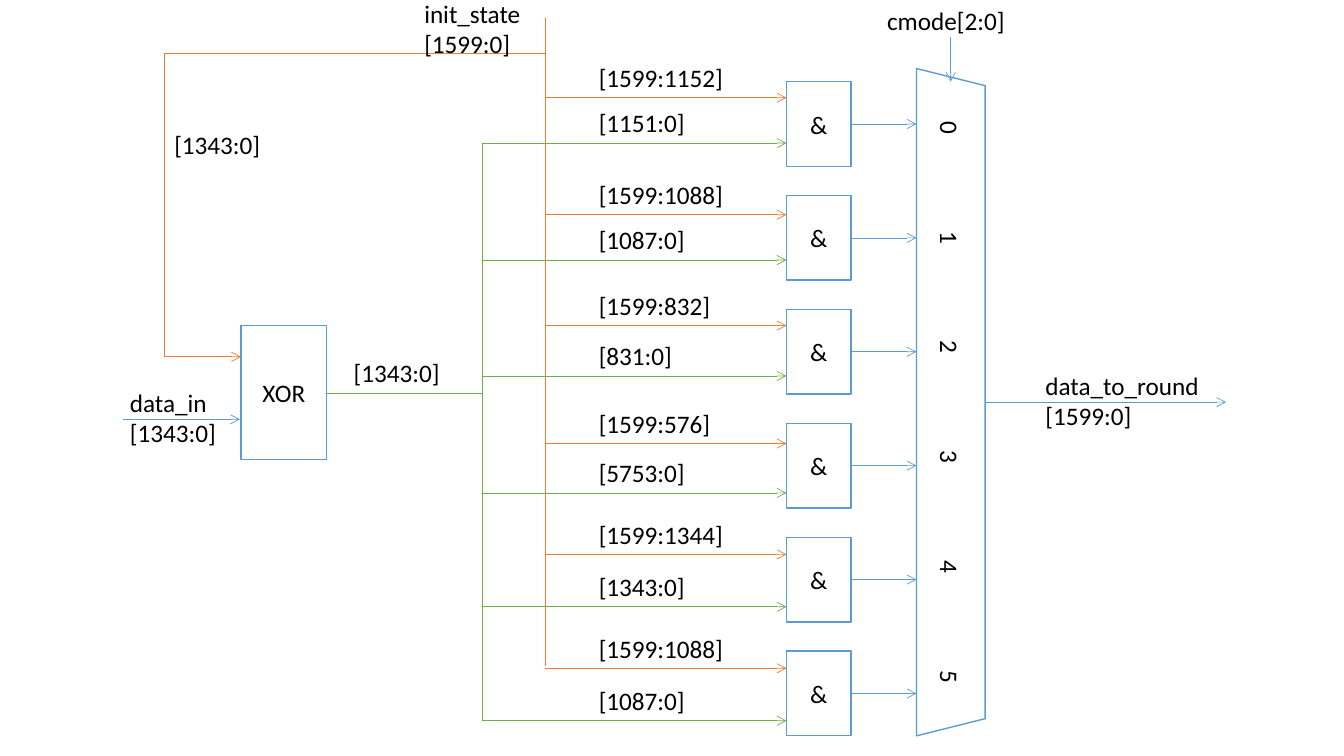
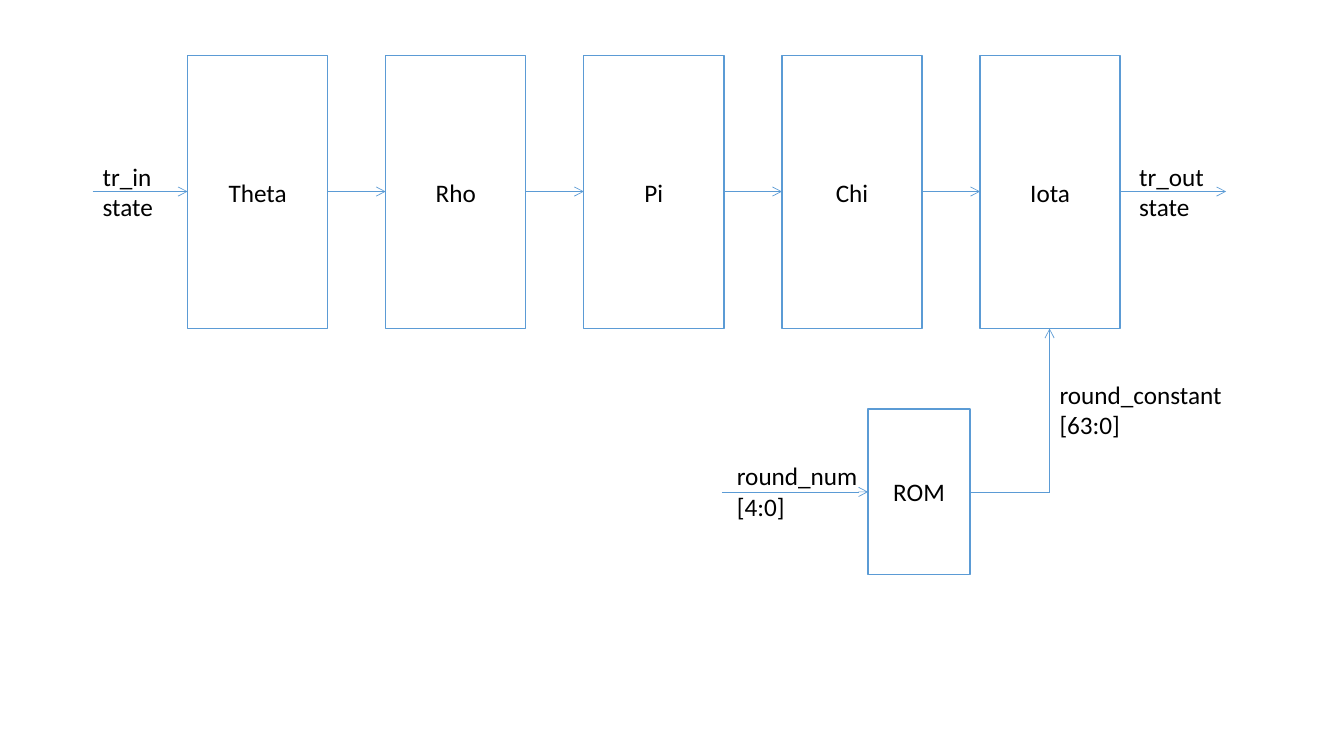
from lxml import etree
from pptx import Presentation
from pptx.dml.color import RGBColor
from pptx.enum.shapes import MSO_CONNECTOR, MSO_SHAPE
from pptx.enum.text import MSO_ANCHOR, MSO_AUTO_SIZE, PP_ALIGN
from pptx.oxml.ns import qn
from pptx.util import Inches, Pt

BLUE = RGBColor(0x5B, 0x9B, 0xD5)
ORANGE = RGBColor(0xED, 0x7D, 0x31)
GREEN = RGBColor(0x70, 0xAD, 0x47)
BLACK = RGBColor(0, 0, 0)
WHITE = RGBColor(255, 255, 255)
RECT, TRAP = MSO_SHAPE.RECTANGLE, MSO_SHAPE.TRAPEZOID
STRAIGHT = MSO_CONNECTOR.STRAIGHT
LEFT, CENTER = PP_ALIGN.LEFT, PP_ALIGN.CENTER
MIDDLE = MSO_ANCHOR.MIDDLE
GROW = MSO_AUTO_SIZE.SHAPE_TO_FIT_TEXT

deck = Presentation()
deck.slide_width, deck.slide_height = Inches(13.33), Inches(7.5)
blank = deck.slide_layouts[6]


def write(text, at, kind=None, align=LEFT, size=18, font="Calibri", color=BLACK):
    """Place a label, or an outlined block when a kind is given."""
    place = [Inches(n) for n in at]
    if kind is None:
        item = slide.shapes.add_textbox(*place)
        item.text_frame.auto_size = GROW
    else:
        item = slide.shapes.add_shape(kind, *place)
        item.shadow.inherit = False
        item.fill.solid()
        item.fill.fore_color.rgb = WHITE
        item.line.color.rgb = BLUE
        item.line.width = Pt(1)
        item.text_frame.vertical_anchor = MIDDLE
    frame = item.text_frame
    frame.word_wrap = True
    frame.text = text
    for para in frame.paragraphs:
        para.alignment = align
        for run in para.runs:
            run.font.size = Pt(size)
            run.font.name = font
            run.font.color.rgb = color
    return item


def wire(x1, y1, x2, y2, color=BLUE, arrow=True):
    """Draw a thin signal line, with an arrowhead at its end if asked."""
    ends = [Inches(n) for n in (x1, y1, x2, y2)]
    line = slide.shapes.add_connector(STRAIGHT, *ends)
    line.line.color.rgb = color
    line.line.width = Pt(0.5)
    if arrow:
        etree.SubElement(line.line._get_or_add_ln(), qn("a:tailEnd"), type="arrow")
    etree.SubElement(line._element.spPr, qn("a:effectLst"))


# Slide 1: input selection
slide = deck.slides.add_slide(blank)
BUS, MIX = 5.41, 4.78           # the two vertical buses
GATE, WIDE, TALL = 7.8, 0.64, 0.84
TOP, PITCH = 0.81, 1.13
MUX, EDGE = 9.09, 9.77          # left and right sides of the selector

# Selector, turned a quarter, with evenly tabbed inputs
mux = write("\t".join("012345"), (6.12, 3.65, 6.62, 0.68), kind=TRAP)
mux.rotation = 90
mux.text_frame.margin_left = Inches(0.41)
props = mux.text_frame.paragraphs[0]._p.get_or_add_pPr()
tabs = etree.SubElement(props, qn("a:tabLst"))
for i in range(1, 6):
    etree.SubElement(tabs, qn("a:tab"), pos=str(Inches(1.09 * i)), algn="l")

# Lanes: upper part and its height, lower part and its height
lanes = [
    ("[1599:1152]", 0.97, "[1151:0]", 1.42),
    ("[1599:1088]", 2.13, "[1087:0]", 2.58),
    ("[1599:832]", 3.23, "[831:0]", 3.73),
    ("[1599:576]", 4.4, "[5753:0]", 4.89),
    ("[1599:1344]", 5.5, "[1343:0]", 6.02),
    ("[1599:1088]", 6.63, "[1087:0]", 7.15),
]
for i, (high, y1, low, y2) in enumerate(lanes):
    y = TOP + PITCH * i
    write("&", (GATE, y, WIDE, TALL), kind=RECT, align=CENTER)
    wire(GATE + WIDE, y + TALL / 2, MUX, y + TALL / 2)
    wire(BUS, y1, GATE, y1, ORANGE)
    wire(MIX, y2, GATE, y2, GREEN)
    write(high, (5.84, y1 - 0.4, 1.61, 0.4))
    write(low, (5.84, y2 - 0.4, 1.19, 0.4))

# Buses and the XOR block
write("XOR", (2.39, 3.23, 0.85, 1.33), kind=RECT, align=CENTER)
wire(MIX, 1.42, MIX, 7.15, GREEN, arrow=False)
wire(3.24, 3.9, MIX, 3.9, GREEN, arrow=False)
wire(BUS, 0.18, BUS, 6.61, ORANGE, arrow=False)
wire(BUS, 0.53, 1.63, 0.53, ORANGE, arrow=False)
wire(1.63, 0.53, 1.63, 3.54, ORANGE, arrow=False)
wire(1.63, 3.54, 2.39, 3.54, ORANGE)
wire(1.22, 4.16, 2.38, 4.16)
wire(EDGE, 3.99, 12.16, 3.99)
wire(9.43, 0.37, 9.43, 0.81)

# Signal names
for text, at in [
    ("init_state\n[1599:0]", (4.11, -0.07, 1.34, 0.71)),
    ("data_in\n[1343:0]", (1.19, 3.79, 1.21, 0.71)),
    ("[1343:0]", (1.63, 1.23, 1.19, 0.4)),
    ("[1343:0]", (3.41, 3.5, 1.19, 0.4)),
    ("data_to_round\n[1599:0]", (10.27, 3.62, 2.75, 0.71)),
    ("cmode[2:0]", (8.7, 0, 1.46, 0.4)),
]:
    write(text, at)

# Slide 2: one round
slide = deck.slides.add_slide(blank)
FIRST, LAST, STEP = 1.86, 9.72, 1.39
FLOW, FEED = 1.9, 4.88          # heights of the two signal rows

# Chain of steps, each with its incoming arrow
names = ["Theta", "Rho", "Pi", "Chi", "Iota"]
pitch = (LAST - FIRST) / (len(names) - 1)
start = 0.92
for i, name in enumerate(names):
    x = FIRST + pitch * i
    write(name, (x, 0.55, STEP, 2.71), kind=RECT, align=CENTER)
    wire(start, FLOW, x, FLOW)
    start = x + STEP
wire(start, FLOW, 12.16, FLOW)

# Constant store
write("ROM", (8.61, 4.06, 1.01, 1.64), kind=RECT, align=CENTER)
wire(7.16, FEED, 8.61, FEED)
wire(9.62, FEED, 10.41, FEED, arrow=False)
wire(10.41, FEED, 10.41, 3.26)

# Signal names
for text, x, y, w in [
    ("tr_in\nstate", 0.92, 1.55, 1.77),
    ("tr_out\nstate", 11.2, 1.55, 1.77),
    ("round_num\n[4:0]", 7.21, 4.52, 1.45),
    ("round_constant\n[63:0]", 10.41, 3.71, 1.85),
]:
    write(text, (x, y, w, 0.71))

deck.save("out.pptx")
